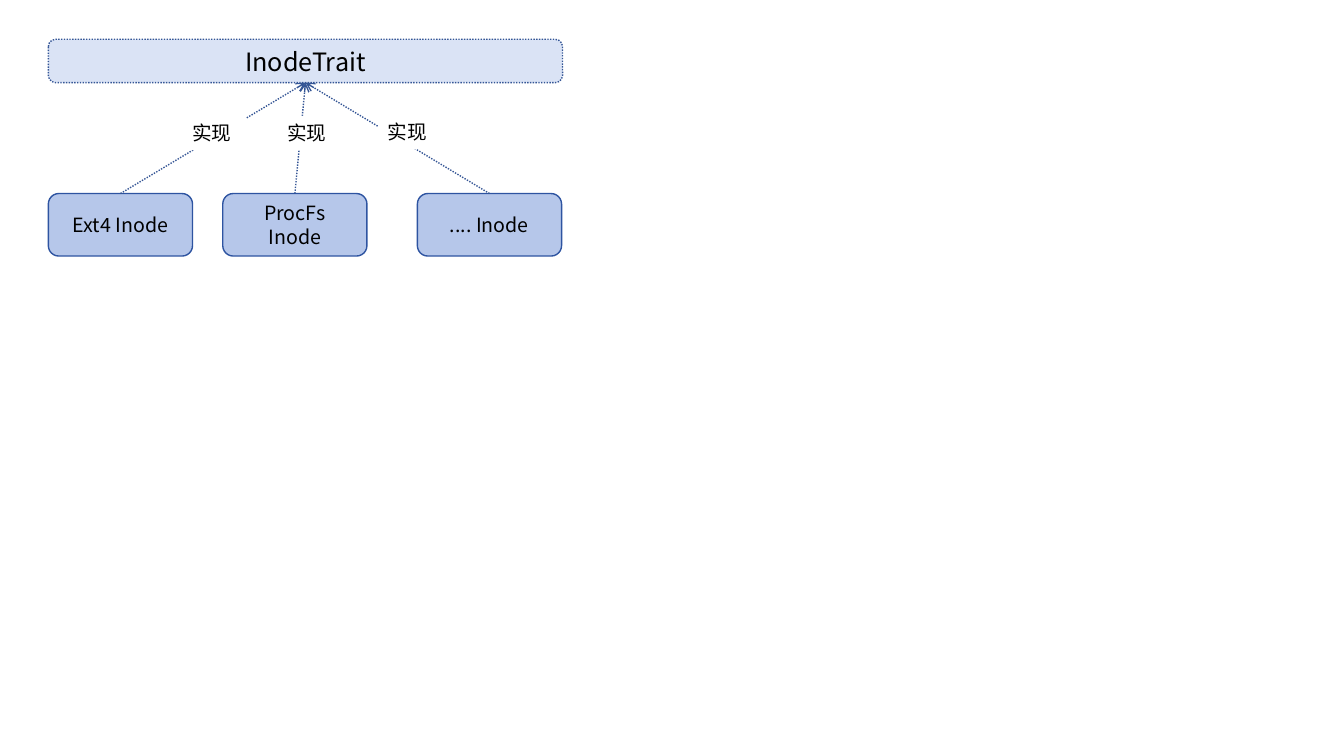
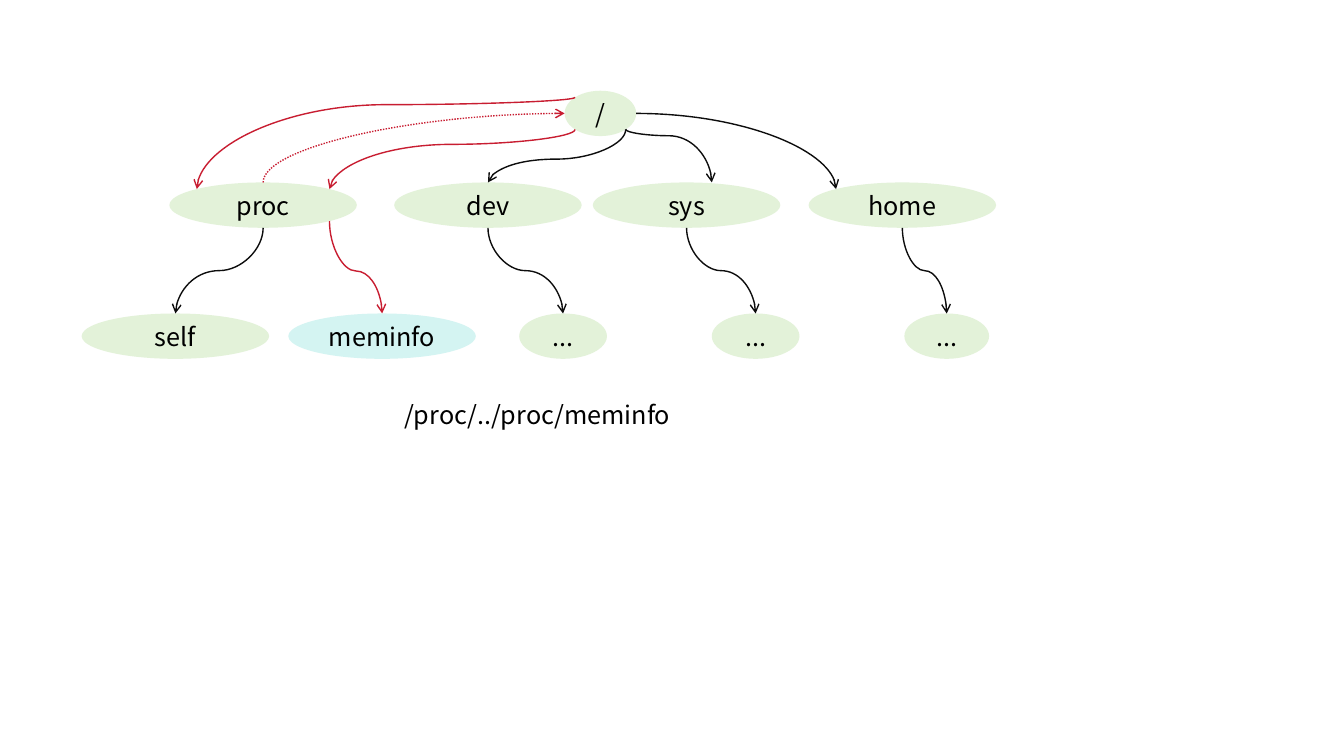
from dataclasses import dataclass

from lxml import etree
from pptx import Presentation
from pptx.dml.color import RGBColor
from pptx.enum import dml, shapes, text
from pptx.oxml import ns
from pptx.util import Inches, Pt


@dataclass(frozen=True)
class Theme:
    font: str = "Noto Sans CJK JP"
    big: int = 18
    small: int = 14
    line: int = 1
    ink: str = "000000"
    paper: str = "FFFFFF"
    trait: str = "DAE3F5"
    dots: str = "355696"
    inode: str = "B6C7EA"
    edge: str = "2E54A1"
    node: str = "E3F2D9"
    found: str = "D4F4F2"
    link: str = "0D0D0D"
    walk: str = "C81D31"


DIAG = 0.5 ** 0.5
SPOTS = {"n": (0, -1), "s": (0, 1), "w": (-1, 0), "e": (1, 0),
         "nw": (-DIAG, -DIAG), "sw": (-DIAG, DIAG),
         "ne": (DIAG, -DIAG), "se": (DIAG, DIAG)}
KINDS = shapes.MSO_SHAPE
ROUND, OVAL, RECT = KINDS.ROUNDED_RECTANGLE, KINDS.OVAL, KINDS.RECTANGLE
TOP, BOTTOM = 0, 2


def spot(shape, side):
    """Point on the rim of an ellipse, by compass direction."""
    x, y = SPOTS[side]
    return (round(shape.left + shape.width * (1 + x) / 2),
            round(shape.top + shape.height * (1 + y) / 2))


class Deck:
    def __init__(self, theme):
        self.theme = theme
        self.show = Presentation()
        self.show.slide_width = Inches(13.33)
        self.show.slide_height = Inches(7.5)
        self.slide = None

    def page(self):
        self.slide = self.show.slides.add_slide(self.show.slide_layouts[6])

    def letter(self, frame, words, size, align, anchor):
        frame.word_wrap = True
        frame.vertical_anchor = anchor
        para = frame.paragraphs[0]
        para.alignment = align
        run = para.add_run()
        run.text = words
        font = run.font
        font.name, font.size = self.theme.font, Pt(size)
        font.color.rgb = RGBColor.from_string(self.theme.ink)
        east = etree.SubElement(run._r.get_or_add_rPr(), ns.qn("a:ea"))
        east.set("typeface", self.theme.font)

    def stroke(self, line, color, dots=False):
        line.color.rgb = RGBColor.from_string(color)
        line.width = Pt(self.theme.line)
        if dots:
            line.dash_style = dml.MSO_LINE.ROUND_DOT

    def box(self, kind, place, words, size, fill, edge=None, dots=False,
            align=text.PP_ALIGN.CENTER, anchor=text.MSO_ANCHOR.MIDDLE):
        shape = self.slide.shapes.add_shape(kind, *map(Inches, place))
        shape.shadow.inherit = False
        shape.fill.solid()
        shape.fill.fore_color.rgb = RGBColor.from_string(fill)
        if edge:
            self.stroke(shape.line, edge, dots)
        else:
            shape.line.fill.background()
        self.letter(shape.text_frame, words, size, align, anchor)
        return shape

    def label(self, place, words):
        self.box(RECT, place, words, self.theme.small, self.theme.paper,
                 align=text.PP_ALIGN.LEFT, anchor=text.MSO_ANCHOR.TOP)

    def note(self, place, words):
        box = self.slide.shapes.add_textbox(*map(Inches, place))
        self.letter(box.text_frame, words, self.theme.big,
                    text.PP_ALIGN.LEFT, text.MSO_ANCHOR.TOP)

    def finish(self, wire, color, dots):
        """Style a connector, give it an open arrowhead and no shadow."""
        self.stroke(wire.line, color, dots)
        props = wire.element.spPr
        tail = etree.SubElement(props.find(ns.qn("a:ln")), ns.qn("a:tailEnd"))
        tail.set("type", "arrow")
        etree.SubElement(props, ns.qn("a:effectLst"))

    def arrow(self, start, end, color):
        """Dotted straight arrow from the top of start to the foot of end."""
        wire = self.slide.shapes.add_connector(
            shapes.MSO_CONNECTOR.STRAIGHT, 0, 0, 0, 0)
        wire.begin_connect(start, TOP)
        wire.end_connect(end, BOTTOM)
        self.finish(wire, color, True)

    def curve(self, start, end, color, bend=None, level=False, dots=False):
        """Curved arrow; bend is the share of the way to its turn.

        Without bend it makes one quarter turn. It sets out upright
        unless level is true.
        """
        (x1, y1), (x2, y2) = start, end
        wire = self.slide.shapes.add_connector(
            shapes.MSO_CONNECTOR.CURVE, x1, y1, x2, y2)
        props = wire.element.spPr
        if not level:
            wide, high = abs(y2 - y1), abs(x2 - x1)
            wire.left = (x1 + x2 - wide) // 2
            wire.top = (y1 + y2 - high) // 2
            wire.width, wire.height = wide, high
            down = y2 > y1
            frame = props.find(ns.qn("a:xfrm"))
            frame.set("rot", str((90 if down else 270) * 60000))
            frame.set("flipH", "0")
            frame.set("flipV", "1" if down == (x2 > x1) else "0")
        form = props.find(ns.qn("a:prstGeom"))
        if bend is None:
            form.set("prst", "curvedConnector2")
        else:
            guide = etree.SubElement(form.find(ns.qn("a:avLst")), ns.qn("a:gd"))
            guide.set("name", "adj1")
            guide.set("fmla", f"val {round(bend * 100000)}")
        self.finish(wire, color, dots)


def traits(deck):
    look = deck.theme
    deck.page()
    trait = deck.box(ROUND, (0.48, 0.39, 5.1, 0.43), "InodeTrait", look.big,
                     look.trait, look.dots, True)
    names = ((0.48, "Ext4 Inode"), (2.21, "ProcFs Inode"), (4.14, ".... Inode"))
    inodes = [deck.box(ROUND, (x, 1.92, 1.43, 0.62), name, look.small,
                       look.inode, look.edge) for x, name in names]
    for inode in inodes:
        deck.arrow(inode, trait, look.dots)
    for x, y in ((1.81, 1.15), (2.75, 1.15), (3.75, 1.14)):
        deck.label((x, y, 0.63, 0.34), "实现")


def tree(deck):
    look = deck.theme
    deck.page()

    def node(x, y, name, wide=1.86, fill=look.node):
        return deck.box(OVAL, (x, y, wide, 0.45), name, look.big, fill)

    def link(start, out, end, into, color=look.link, **form):
        deck.curve(spot(start, out), spot(end, into), color, **form)

    root = node(5.6, 0.9, "/", 0.71)
    tops = [node(x, 1.81, name) for x, name in
            ((1.68, "proc"), (3.91, "dev"), (5.88, "sys"), (8.02, "home"))]
    proc, dev, _, home = tops
    own = node(0.81, 3.11, "self")
    info = node(2.86, 3.11, "meminfo", fill=look.found)
    rest = [node(x, 3.11, "...", wide)
            for x, wide in ((5.15, 0.87), (7.06, 0.87), (8.97, 0.84))]

    link(root, "se", dev, "n", bend=0.56)
    deck.curve(spot(root, "se"), (Inches(7.06), Inches(1.81)), look.link,
               bend=0.12)
    link(root, "e", home, "nw", level=True)
    for start, end in zip(tops, (own, *rest)):
        link(start, "s", end, "n", bend=0.5)

    link(root, "nw", proc, "nw", look.walk, bend=0.08)
    link(proc, "n", root, "w", look.walk, dots=True)
    link(root, "sw", proc, "ne", look.walk, bend=0.25)
    link(proc, "se", info, "n", look.walk, bend=0.54)
    deck.note((3.91, 3.91, 8.5, 0.4), "/proc/../proc/meminfo")


def main():
    deck = Deck(Theme())
    traits(deck)
    tree(deck)
    deck.show.save("out.pptx")


if __name__ == "__main__":
    main()
